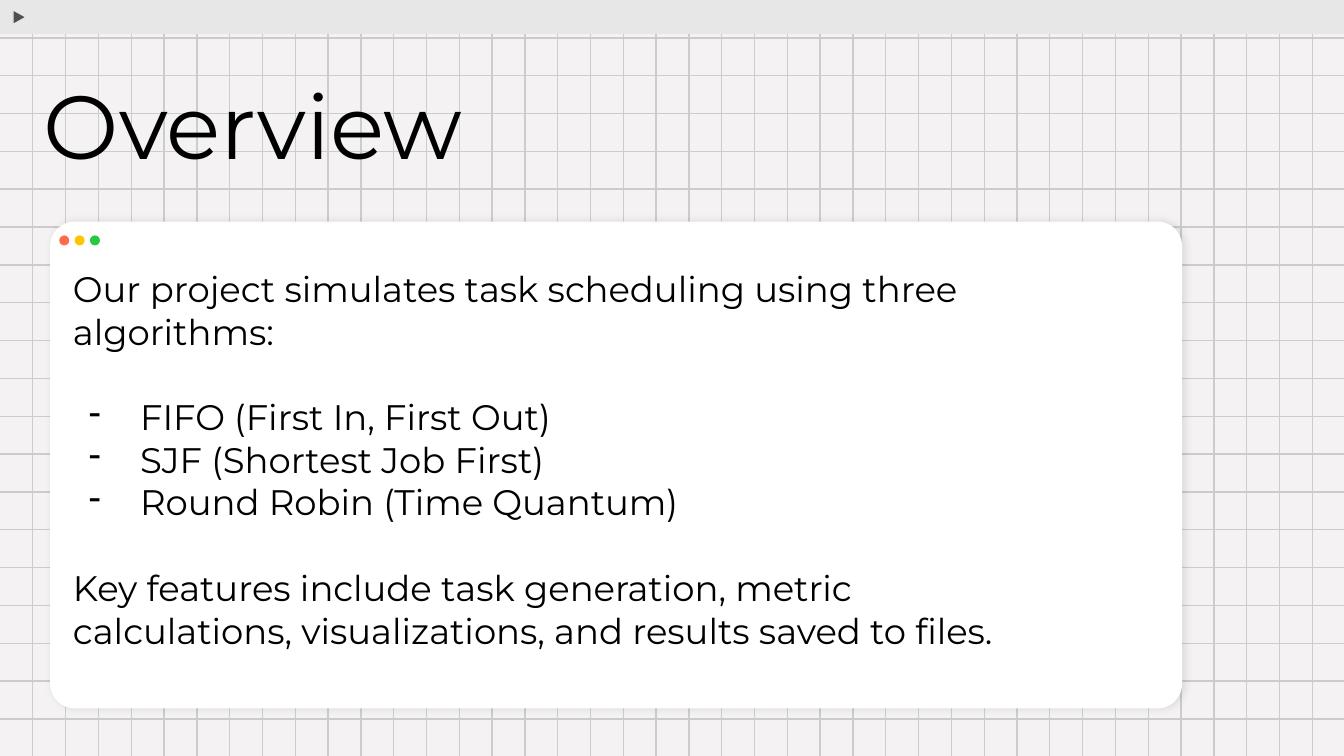
from lxml.etree import SubElement
from pptx import Presentation
from pptx.dml.color import RGBColor
from pptx.enum.shapes import MSO_CONNECTOR, MSO_SHAPE
from pptx.oxml.ns import qn
from pptx.util import Cm, Pt

TITLE = "Overview"
INTRO = "Our project simulates task scheduling using three algorithms:"
ALGORITHMS = [
    "FIFO (First In, First Out)",
    "SJF (Shortest Job First)",
    "Round Robin (Time Quantum)",
]
FEATURES = (
    "Key features include task generation, metric calculations, "
    "visualizations, and results saved to files."
)
COLORS = {
    "background": "F4F2F2",
    "grid": "CCCCCC",
    "bar": "E7E7E7",
    "arrow": "4F4F4F",
    "window": "FFFFFF",
    "text": "000000",
    "close": "FF6B4D",
    "minimize": "FFC600",
    "zoom": "28C840",
}
FONT = "Montserrat"
BODY_SIZE = 19
SECTION_GAP = Pt(23.16)  # one line of body text

WIDTH, HEIGHT = 25.4, 14.29
COLUMNS, COLUMN_GAP = 40, 0.62
ROWS, ROW_GAP = 19, 13.59 / 19


def rgb(name):
    return RGBColor.from_string(COLORS[name])


def add_grid_line(slide, x1, y1, x2, y2):
    grid_line = slide.shapes.add_connector(
        MSO_CONNECTOR.STRAIGHT, Cm(x1), Cm(y1), Cm(x2), Cm(y2))
    grid_line.line.color.rgb = rgb("grid")
    grid_line.line.width = Pt(0.75)
    SubElement(grid_line._element.spPr, qn("a:effectLst"))


def add_filled(slide, kind, left, top, width, height, color):
    """Add a preset shape with a flat fill, no outline and no shadow."""
    shape = slide.shapes.add_shape(kind, Cm(left), Cm(top), Cm(width), Cm(height))
    shape.fill.solid()
    shape.fill.fore_color.rgb = rgb(color)
    shape.line.fill.background()
    shape.shadow.inherit = False
    return shape


def add_soft_shadow(shape):
    effects = shape._element.spPr.find(qn("a:effectLst"))
    shadow = SubElement(effects, qn("a:outerShdw"), blurRad=str(Pt(4.5)),
                        dist=str(Pt(1.5)), dir="0", algn="bl", rotWithShape="0")
    shade = SubElement(shadow, qn("a:srgbClr"), val=COLORS["text"])
    SubElement(shade, qn("a:alpha"), val="11000")


def add_text_frame(slide, left, top, width, height):
    box = slide.shapes.add_textbox(Cm(left), Cm(top), Cm(width), Cm(height))
    frame = box.text_frame
    frame.word_wrap = True
    frame.margin_left = frame.margin_right = Cm(0.25)
    frame.margin_top = frame.margin_bottom = Cm(0.25)
    return frame


def write(paragraph, text, size):
    paragraph.text = text
    font = paragraph.runs[0].font
    font.name, font.size, font.color.rgb = FONT, Pt(size), rgb("text")


def add_dash(paragraph):
    properties = paragraph._p.get_or_add_pPr()
    properties.set("marL", str(Cm(1.27)))
    properties.set("indent", str(Cm(-0.97)))
    bullet_color = SubElement(properties, qn("a:buClr"))
    SubElement(bullet_color, qn("a:srgbClr"), val=COLORS["text"])
    SubElement(properties, qn("a:buChar"), char="-")


def main():
    deck = Presentation()
    deck.slide_width, deck.slide_height = Cm(WIDTH), Cm(HEIGHT)
    slide = deck.slides.add_slide(deck.slide_layouts[6])
    slide.background.fill.solid()
    slide.background.fill.fore_color.rgb = rgb("background")

    for row in range(1, ROWS + 1):
        add_grid_line(slide, 0, row * ROW_GAP, WIDTH, row * ROW_GAP)
    for column in range(1, COLUMNS + 1):
        add_grid_line(slide, column * COLUMN_GAP, 0, column * COLUMN_GAP, HEIGHT)

    add_filled(slide, MSO_SHAPE.RECTANGLE, 0, 0, WIDTH, 0.64, "bar")
    arrow = add_filled(slide, MSO_SHAPE.ISOSCELES_TRIANGLE, 0.23, 0.2, 0.28, 0.25, "arrow")
    arrow.rotation = 90
    arrow.line.color.rgb = rgb("bar")
    arrow.line.width = Pt(0.75)

    window = add_filled(slide, MSO_SHAPE.ROUNDED_RECTANGLE, 0.95, 4.19, 21.39, 9.2, "window")
    window.adjustments[0] = 0.05
    add_soft_shadow(window)
    for i, button in enumerate(("close", "minimize", "zoom")):
        add_filled(slide, MSO_SHAPE.OVAL, 1.12 + i * 0.29, 4.45, 0.19, 0.19, button)

    body = add_text_frame(slide, 1.13, 4.8, 19.33, 8.33)
    write(body.paragraphs[0], INTRO, BODY_SIZE)
    for i, algorithm in enumerate(ALGORITHMS):
        item = body.add_paragraph()
        write(item, algorithm, BODY_SIZE)
        if i == 0:
            item.space_before = SECTION_GAP
        add_dash(item)
    features = body.add_paragraph()
    write(features, FEATURES, BODY_SIZE)
    features.space_before = SECTION_GAP

    heading = add_text_frame(slide, 0.58, 1.3, 13.94, 2.36).paragraphs[0]
    write(heading, TITLE, 48)
    heading.line_spacing = 0.9

    deck.save("out.pptx")


if __name__ == "__main__":
    main()
